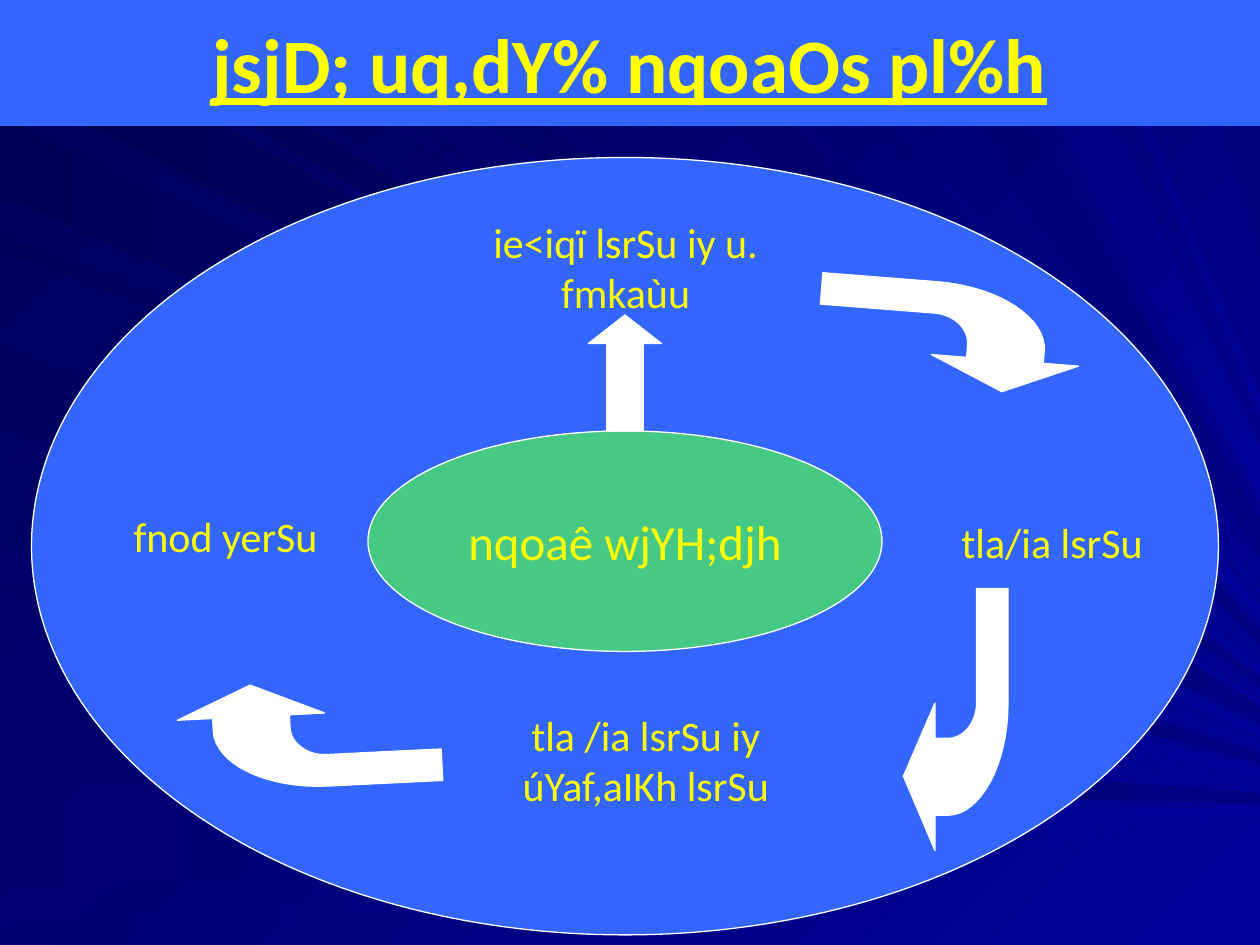
from itertools import cycle
from typing import NamedTuple

from pptx import Presentation
from pptx.dml.color import RGBColor
from pptx.enum import shapes, text
from pptx.util import Inches, Pt

COLORS = {"yellow": "FFFF00", "blue": "3366FF", "green": "45C984", "white": "FFFFFF",
          "night": "000058", "navy": "000099", "dim": "000080"}
FONT = "Calibri"
SLIDE_WIDTH, SLIDE_HEIGHT = 10, 7.5

# All light rays run from the left or top edge towards one point beyond the right edge
VANISHING_POINT = (11.3, 6.4)
RAY_SHARES = (0.7, 0.7, 0.15)  # part of the pitch that a ray covers, in turn
RAY_ENDS = ("dim", "navy", "navy")  # colour at the right edge, in turn


class RayFan(NamedTuple):
    along_top: bool
    first: float
    pitch: float
    count: int
    angle: int  # clockwise degrees of the gradient


class Label(NamedTuple):
    words: str
    left: float
    top: float
    width: float
    height: float


class BentArrow(NamedTuple):
    left: float
    top: float
    rotation: float


RAY_FANS = [RayFan(False, 0, 0.92, 9, 0), RayFan(True, 0.26, 0.76, 13, 45)]
LABELS = [
    Label("ie<iqï lsrSu iy u. fmkaùu", 3.34, 1.67, 3.25, 0.9),
    Label("tla/ia lsrSu", 7.31, 4.05, 2.08, 0.5),
    Label("tla /ia lsrSu iy úYaf,aIKh lsrSu", 3.5, 5.58, 3.25, 0.9),
    Label("fnod yerSu", 0.83, 4, 1.92, 0.5),
]
BENT_ARROWS = [BentArrow(7.17, 4.67, 180), BentArrow(2.04, 4.79, 267.2),
               BentArrow(7.12, 1.62, 94.5)]


def rgb(value: str) -> RGBColor:
    return RGBColor.from_string(value)


def fill_gradient(fill, start: str, end: str, angle: int) -> None:
    fill.gradient()
    fill.gradient_angle = (360 - angle) % 360
    for stop, value in zip(fill.gradient_stops, (start, end)):
        stop.color.rgb = rgb(value)


def paint(shape, color: str) -> None:
    """Flat fill with a thin white outline."""
    shape.shadow.inherit = False
    shape.fill.solid()
    shape.fill.fore_color.rgb = rgb(COLORS[color])
    shape.line.color.rgb = rgb(COLORS["white"])
    shape.line.width = Pt(0.75)


def write(frame, words: str, size: int, bold: bool = False) -> None:
    frame.text = words
    paragraph = frame.paragraphs[0]
    paragraph.alignment = text.PP_ALIGN.CENTER
    font = paragraph.font
    font.name, font.size, font.bold, font.underline = FONT, Pt(size), bold, bold
    font.color.rgb = rgb(COLORS["yellow"])


def draw_outline(target, points: list, left: float = 0, top: float = 0):
    corners = [(Inches(left + x), Inches(top + y)) for x, y in points]
    builder = target.build_freeform(*corners[0])
    builder.add_line_segments(corners[1:], close=True)
    return builder.convert_to_shape()


def at_right_edge(point: tuple) -> tuple:
    """Where the line from point to the vanishing point leaves the slide."""
    (x, y), (far_x, far_y) = point, VANISHING_POINT
    return SLIDE_WIDTH, y + (far_y - y) * (SLIDE_WIDTH - x) / (far_x - x)


def draw_ray_fan(target, fan: RayFan) -> None:
    edge = SLIDE_WIDTH if fan.along_top else SLIDE_HEIGHT
    for index, share, end in zip(range(fan.count), cycle(RAY_SHARES), cycle(RAY_ENDS)):
        start = fan.first + index * fan.pitch
        stop = min(start + share * fan.pitch, edge)
        near, far = [(place, 0) if fan.along_top else (0, place) for place in (start, stop)]
        shape = draw_outline(target, [near, at_right_edge(near), at_right_edge(far), far])
        shape.shadow.inherit = False
        shape.line.fill.background()
        blue_level = round(0x50 + 5 * start)  # rays brighten away from the top left corner
        fill_gradient(shape.fill, f"0000{blue_level:02X}", COLORS[end], fan.angle)


def curve(*controls: tuple, steps: int = 16) -> list:
    """Points along a cubic Bézier curve."""
    points = []
    for step in range(steps + 1):
        t = step / steps
        weights = ((1 - t) ** 3, 3 * t * (1 - t) ** 2, 3 * t * t * (1 - t), t ** 3)
        points.append(tuple(sum(w * c[axis] for w, c in zip(weights, controls))
                            for axis in (0, 1)))
    return points


def draw_bent_arrow(target, arrow: BentArrow) -> None:
    """Upright arrow that rises from the lower left and turns right, then rotated."""
    tip = (0.83, 0.59)
    outer_bend = curve((0.48, 0.28), (0.22, 0.28), (0, 0.68), (0, 1.17))
    tail = [(0, 2.08), (0.25, 2.08)]
    inner_bend = curve((0.25, 1.17), (0.25, 1.02), (0.35, 0.89), (0.48, 0.89))
    head_top = [(0.58, 0), (0.58, 0.28)]
    head_bottom = [(0.58, 0.89), (0.58, 1.17)]
    points = [tip, *head_top, *outer_bend, *tail, *inner_bend, *head_bottom]
    shape = draw_outline(target, points, arrow.left, arrow.top)
    shape.rotation = arrow.rotation
    paint(shape, "white")


def draw_preset(target, kind, box: tuple, color: str):
    shape = target.add_shape(kind, *map(Inches, box))
    paint(shape, color)
    return shape


def draw_label(target, label: Label) -> None:
    box = target.add_textbox(*map(Inches, label[1:]))
    box.text_frame.word_wrap = True
    write(box.text_frame, label.words, 24)
    box.text_frame.paragraphs[0].space_before = Pt(15)


def main() -> None:
    presentation = Presentation()
    presentation.slide_width = Inches(SLIDE_WIDTH)
    presentation.slide_height = Inches(SLIDE_HEIGHT)
    slide = presentation.slides.add_slide(presentation.slide_layouts[5])
    title = slide.shapes.title

    # Background with light rays, kept behind the title
    fill_gradient(slide.background.fill, COLORS["night"], COLORS["navy"], 45)
    rays = slide.shapes.add_group_shape()
    for fan in RAY_FANS:
        draw_ray_fan(rays.shapes, fan)
    title._element.addprevious(rays._element)

    # Title band
    title.left, title.top, title.width, title.height = map(Inches, (0, 0, SLIDE_WIDTH, 1))
    title.fill.solid()
    title.fill.fore_color.rgb = rgb(COLORS["blue"])
    title.text_frame.auto_size = text.MSO_AUTO_SIZE.NONE
    title.text_frame.vertical_anchor = text.MSO_ANCHOR.MIDDLE
    write(title.text_frame, "jsjD; uq,dY% nqoaOs pl%h", 44, bold=True)

    # Cycle and its core
    oval = shapes.MSO_SHAPE.OVAL
    draw_preset(slide.shapes, oval, (0.25, 1.25, 9.42, 6.17), "blue")
    core = draw_preset(slide.shapes, oval, (2.92, 3.42, 4.08, 1.75), "green")
    core.text_frame.word_wrap = False
    write(core.text_frame, "nqoaê wjYH;djh", 28)

    # Stages and the arrows between them
    for label in LABELS:
        draw_label(slide.shapes, label)
    for arrow in BENT_ARROWS:
        draw_bent_arrow(slide.shapes, arrow)
    up_arrow = draw_preset(slide.shapes, shapes.MSO_SHAPE.UP_ARROW,
                           (4.67, 2.5, 0.58, 0.92), "white")
    up_arrow.adjustments[1] = 0.39

    presentation.save("out.pptx")


if __name__ == "__main__":
    main()
